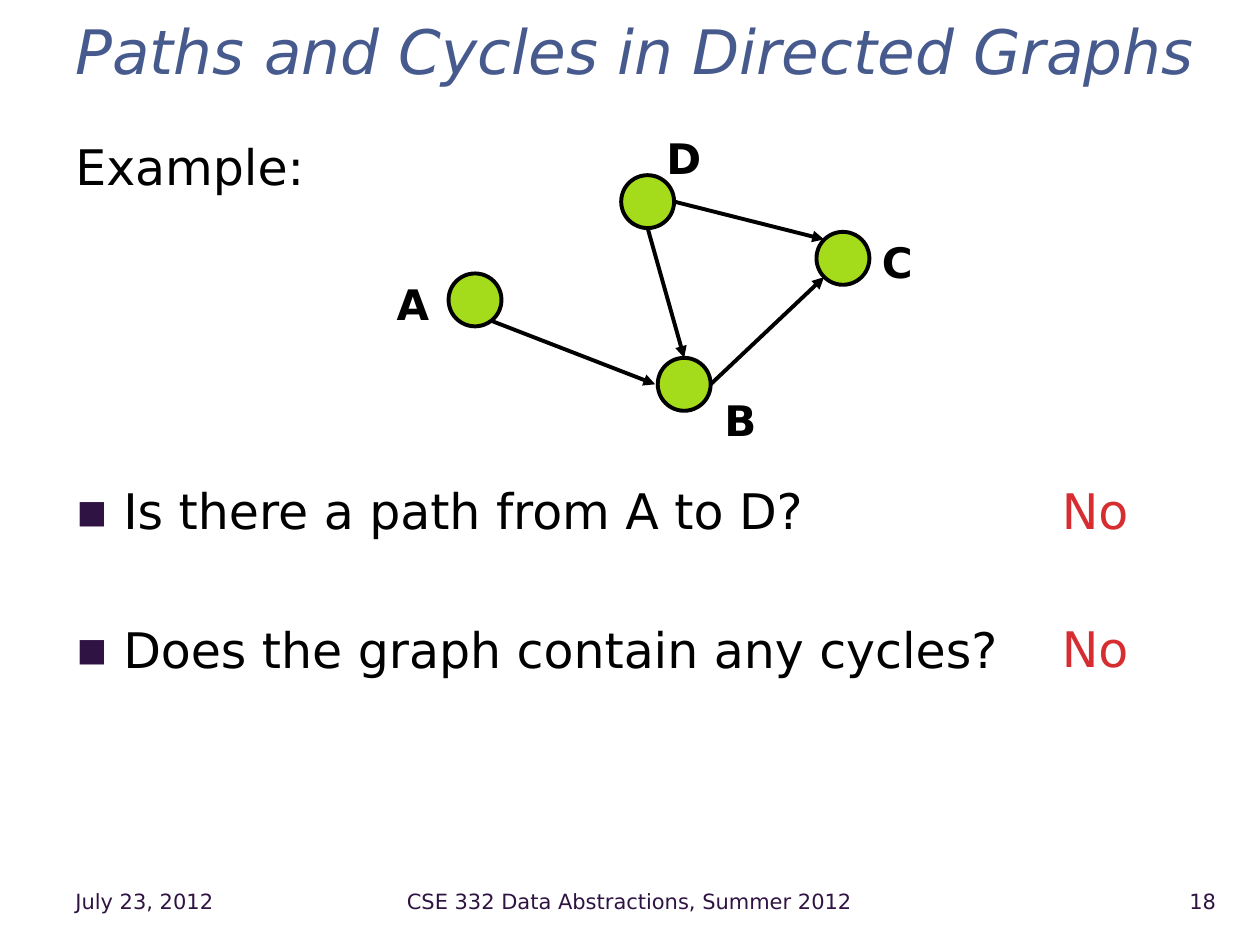
from lxml.etree import SubElement
from pptx import Presentation
from pptx.dml.color import RGBColor
from pptx.enum.shapes import MSO_CONNECTOR, MSO_SHAPE
from pptx.enum.text import MSO_ANCHOR, PP_ALIGN
from pptx.oxml.ns import qn
from pptx.util import Pt

PX = 9144  # EMU per px, 100 px to the inch
FONT = "DejaVu Sans"
BLACK = RGBColor(0x00, 0x00, 0x00)
TITLE_BLUE = RGBColor(0x47, 0x5A, 0x8D)
PURPLE = RGBColor(0x2F, 0x13, 0x43)
RED = RGBColor(0xD6, 0x2D, 0x31)
GREEN = RGBColor(0xA4, 0xDB, 0x1B)

NODE_SIZE = 42
LINE_WIDTH = Pt(2.25)
BODY_TOP, BODY_HEIGHT = 100, 570
QUESTION_INSET = 281  # from the body top to the first question
QUESTION_GAP = 45.7

# name: node left, top, label left, top
NODES = {
    "A": (356, 217, 305, 216),
    "B": (522, 284, 565, 308),
    "C": (648, 184, 690, 183),
    "D": (493, 139, 519, 100),
}
# start x, y, tip x, y
EDGES = [
    (391, 255, 520, 305),  # A to B
    (564, 305, 654, 220),  # B to C
    (535, 160, 654, 190),  # D to C
    (514, 181, 543, 284),  # D to B
]


def px(*lengths):
    return [n * PX for n in lengths]


def add_box(s, left, top, width, height, anchor=MSO_ANCHOR.TOP, inset=5, wrap=True):
    """Add an empty text box and return its text frame."""
    tf = s.shapes.add_textbox(*px(left, top, width, height)).text_frame
    tf.word_wrap = wrap
    tf.vertical_anchor = anchor
    tf.margin_top = inset * PX
    return tf


def add_text(p, text, size, color, bold=None, italic=None):
    r = p.add_run()
    r.text = text
    font = r.font
    font.name, font.size = FONT, Pt(size)
    font.bold, font.italic = bold, italic
    font.color.rgb = color


def add_bullet(p):
    pPr = p._p.get_or_add_pPr()
    pPr.set("marL", str(38 * PX))
    pPr.set("indent", str(-38 * PX))
    color = SubElement(pPr, qn("a:buClr"))
    SubElement(color, qn("a:srgbClr"), val=str(PURPLE))
    SubElement(pPr, qn("a:buFont"), typeface=FONT)
    SubElement(pPr, qn("a:buChar"), char="▪")


def add_body(s):
    tf = add_box(s, 50, BODY_TOP, 792, BODY_HEIGHT, inset=8)
    add_text(tf.paragraphs[0], "Example:", 28, BLACK)
    questions = [
        ("Is there a path from A to D?", 163.4),
        ("Does the graph contain any cycles?", QUESTION_GAP),
    ]
    for text, gap in questions:
        p = tf.add_paragraph()
        add_bullet(p)
        p.space_before = Pt(gap)
        add_text(p, text, 28, BLACK)


def add_answers(s):
    tf = add_box(s, 833, BODY_TOP, 117, BODY_HEIGHT, inset=QUESTION_INSET)
    add_text(tf.paragraphs[0], "No", 28, RED)
    p = tf.add_paragraph()
    p.space_before = Pt(QUESTION_GAP)
    add_text(p, "No", 28, RED)


def add_footer(s, left, width, text, align):
    tf = add_box(s, left, 695, width, 40, MSO_ANCHOR.MIDDLE)
    p = tf.paragraphs[0]
    p.alignment = align
    add_text(p, text, 12, PURPLE)


def add_node(s, name, left, top, label_left, label_top):
    sp = s.shapes.add_shape(MSO_SHAPE.OVAL, *px(left, top, NODE_SIZE, NODE_SIZE))
    sp.shadow.inherit = False
    sp.fill.solid()
    sp.fill.fore_color.rgb = GREEN
    sp.line.color.rgb = BLACK
    sp.line.width = LINE_WIDTH
    tf = add_box(s, label_left, label_top, 46, 50, wrap=False)
    add_text(tf.paragraphs[0], name, 24, BLACK, bold=True)


def add_arrow(s, *ends):
    line = s.shapes.add_connector(MSO_CONNECTOR.STRAIGHT, *px(*ends))
    line.line.color.rgb = BLACK
    line.line.width = LINE_WIDTH
    SubElement(line.line._get_or_add_ln(), qn("a:tailEnd"), type="triangle")
    SubElement(line._element.spPr, qn("a:effectLst"))


def main():
    prs = Presentation()
    prs.slide_width, prs.slide_height = px(1000, 750)
    s = prs.slides.add_slide(prs.slide_layouts[6])

    title = add_box(s, 50, 13, 925, 53, MSO_ANCHOR.MIDDLE)
    add_text(title.paragraphs[0], "Paths and Cycles in Directed Graphs", 35,
             TITLE_BLUE, italic=True)
    add_body(s)
    add_answers(s)

    add_footer(s, 50, 175, "July 23, 2012", PP_ALIGN.LEFT)
    add_footer(s, 232, 535, "CSE 332 Data Abstractions, Summer 2012", PP_ALIGN.CENTER)
    add_footer(s, 889, 86, "18", PP_ALIGN.RIGHT)

    for name, place in NODES.items():
        add_node(s, name, *place)
    for ends in EDGES:
        add_arrow(s, *ends)

    prs.save("out.pptx")


if __name__ == "__main__":
    main()
